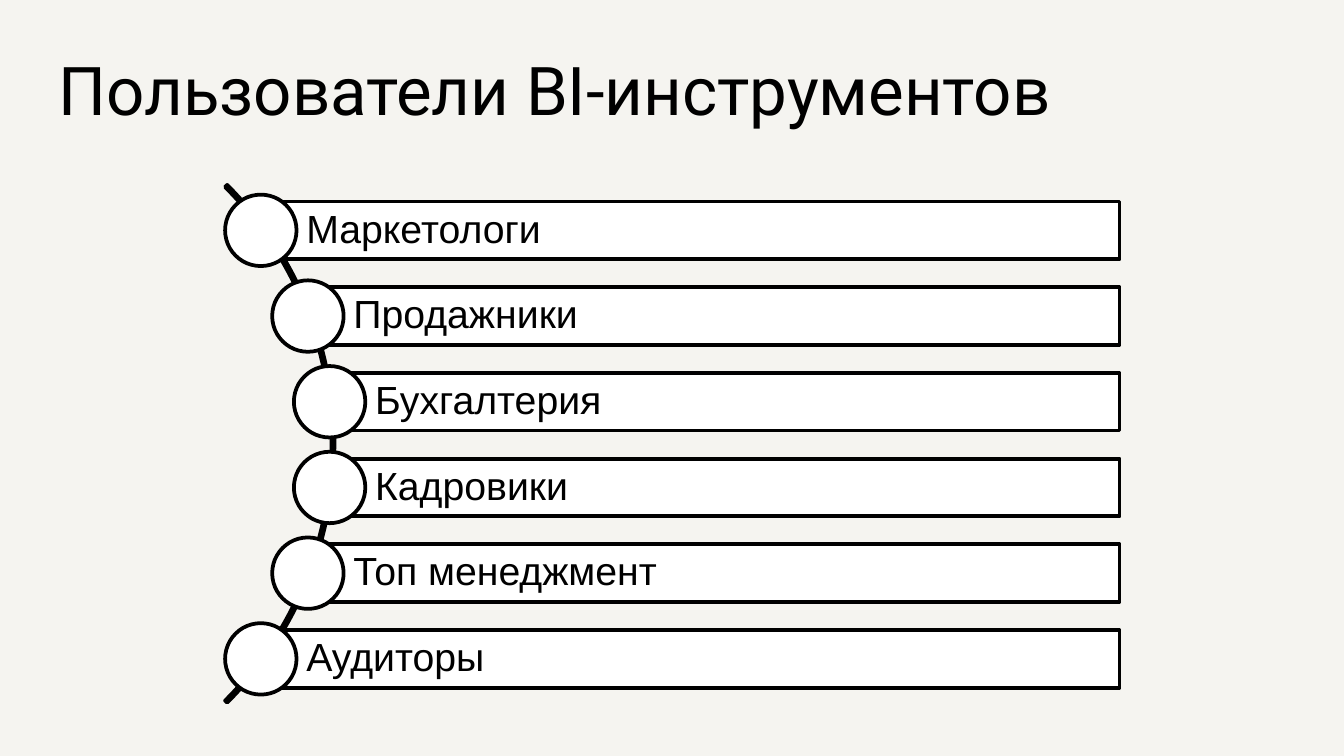
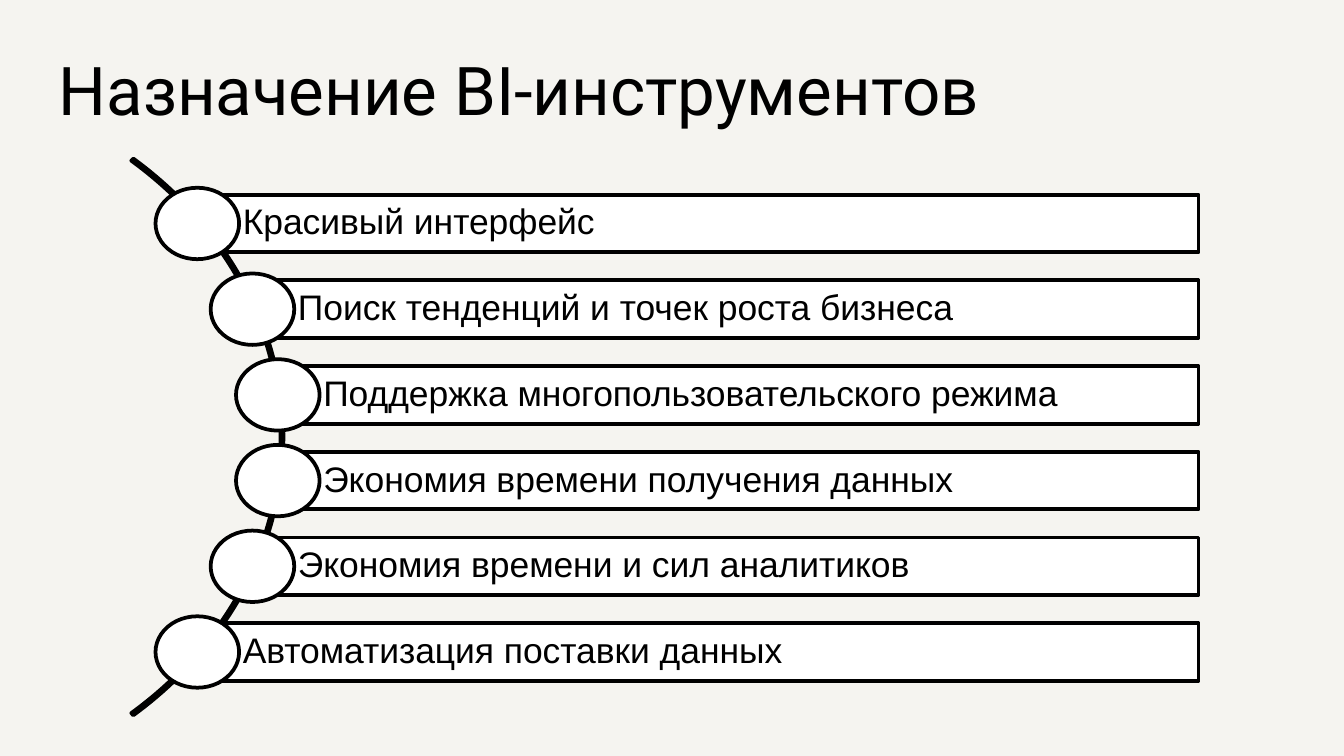
from pptx import Presentation, util as u
from pptx.dml import color
from pptx.enum import shapes, text

BACKGROUND, WHITE, BLACK = "F5F4F0", "FFFFFF", "000000"
TITLE_BOX = dict(left=u.Cm(0.86), top=u.Cm(0.53), width=u.Cm(23.67), height=u.Cm(2.16))
TITLE_FRAME = dict(
    word_wrap=True, auto_size=text.MSO_AUTO_SIZE.NONE, vertical_anchor=text.MSO_ANCHOR.BOTTOM,
    margin_left=u.Cm(0.25), margin_right=u.Cm(0.25), margin_top=u.Cm(0.25), margin_bottom=u.Cm(0.25),
)
BAR_FRAME = dict(
    word_wrap=True, auto_size=text.MSO_AUTO_SIZE.NONE, vertical_anchor=text.MSO_ANCHOR.MIDDLE,
    margin_left=u.Cm(0.86), margin_right=u.Cm(0.14), margin_top=u.Cm(0.14), margin_bottom=u.Cm(0.14),
)
TITLE_FONT = dict(name="Roboto", size=u.Pt(36), bold=False)
INDENTS = (0, 0.89, 1.3, 1.3, 0.89, 0)
PITCH, BAR_HEIGHT, CIRCLE = 1.62, 1.09, 1.35
ARC_SIZE, ARC_LEFT, ARC_TOP = 13.84, -12.45, -2.34

PAGES = [
    dict(
        title="Пользователи BI-инструментов", box=(4.93, 3.81, 16.23), stretch=1, size=21,
        labels=["Маркетологи", "Продажники", "Бухгалтерия", "Кадровики", "Топ менеджмент", "Аудиторы"],
    ),
    dict(
        title="Назначение BI-инструментов", box=(3.73, 3.68, 18.92), stretch=1.17, size=19,
        labels=[
            "Красивый интерфейс",
            "Поиск тенденций и точек роста бизнеса",
            "Поддержка многопользовательского режима",
            "Экономия времени получения данных",
            "Экономия времени и сил аналитиков",
            "Автоматизация поставки данных",
        ],
    ),
]


def rgb(value):
    return color.RGBColor.from_string(value)


def apply(target, values):
    for name, value in values.items():
        setattr(target, name, value)


def write(frame, content, frame_format, font_format, spacing=1.0):
    apply(frame, frame_format)
    para = frame.paragraphs[0]
    apply(para, dict(alignment=text.PP_ALIGN.LEFT, line_spacing=spacing))
    span = para.add_run()
    span.text = content
    apply(span.font, font_format)
    span.font.color.rgb = rgb(BLACK)


def add_outlined(page, kind, left, top, width, height, fill=None):
    shape = page.shapes.add_shape(kind, u.Cm(left), u.Cm(top), u.Cm(width), u.Cm(height))
    shape.shadow.inherit = False
    if fill:
        shape.fill.solid()
        shape.fill.fore_color.rgb = rgb(fill)
    else:
        shape.fill.background()
    shape.line.color.rgb = rgb(BLACK)
    shape.line.width = u.Pt(2)
    return shape


def add_title(page, content):
    title = page.shapes.title
    apply(title, TITLE_BOX)
    write(title.text_frame, content, TITLE_FRAME, TITLE_FONT)


def add_curved_list(page, box, labels, stretch, size):
    left, top, width = box
    kinds = shapes.MSO_SHAPE
    arc = add_outlined(page, kinds.BLOCK_ARC, left + ARC_LEFT * stretch, top + ARC_TOP,
                       ARC_SIZE * stretch, ARC_SIZE)
    for index, value in enumerate((189, 27, 0.004)):
        arc.adjustments[index] = value
    font = dict(name="Arial", size=u.Pt(size))
    circle_width = CIRCLE * stretch
    for row, (label, indent) in enumerate(zip(labels, INDENTS)):
        shift = indent * stretch
        bar_left, bar_top = left + shift, top + row * PITCH
        bar = add_outlined(page, kinds.RECTANGLE, bar_left, bar_top, width - shift, BAR_HEIGHT, WHITE)
        write(bar.text_frame, label, BAR_FRAME, font, 0.9)
        add_outlined(page, kinds.OVAL, bar_left - circle_width / 2,
                     bar_top + (BAR_HEIGHT - CIRCLE) / 2, circle_width, CIRCLE, WHITE)


def main():
    deck = Presentation()
    deck.slide_width, deck.slide_height = u.Cm(25.4), u.Cm(14.29)
    background = deck.slide_master.background.fill
    background.solid()
    background.fore_color.rgb = rgb(BACKGROUND)
    for content in PAGES:
        page = deck.slides.add_slide(deck.slide_layouts.get_by_name("Title Only"))
        add_title(page, content["title"])
        add_curved_list(page, content["box"], content["labels"], content["stretch"], content["size"])
    deck.save("out.pptx")


if __name__ == "__main__":
    main()
